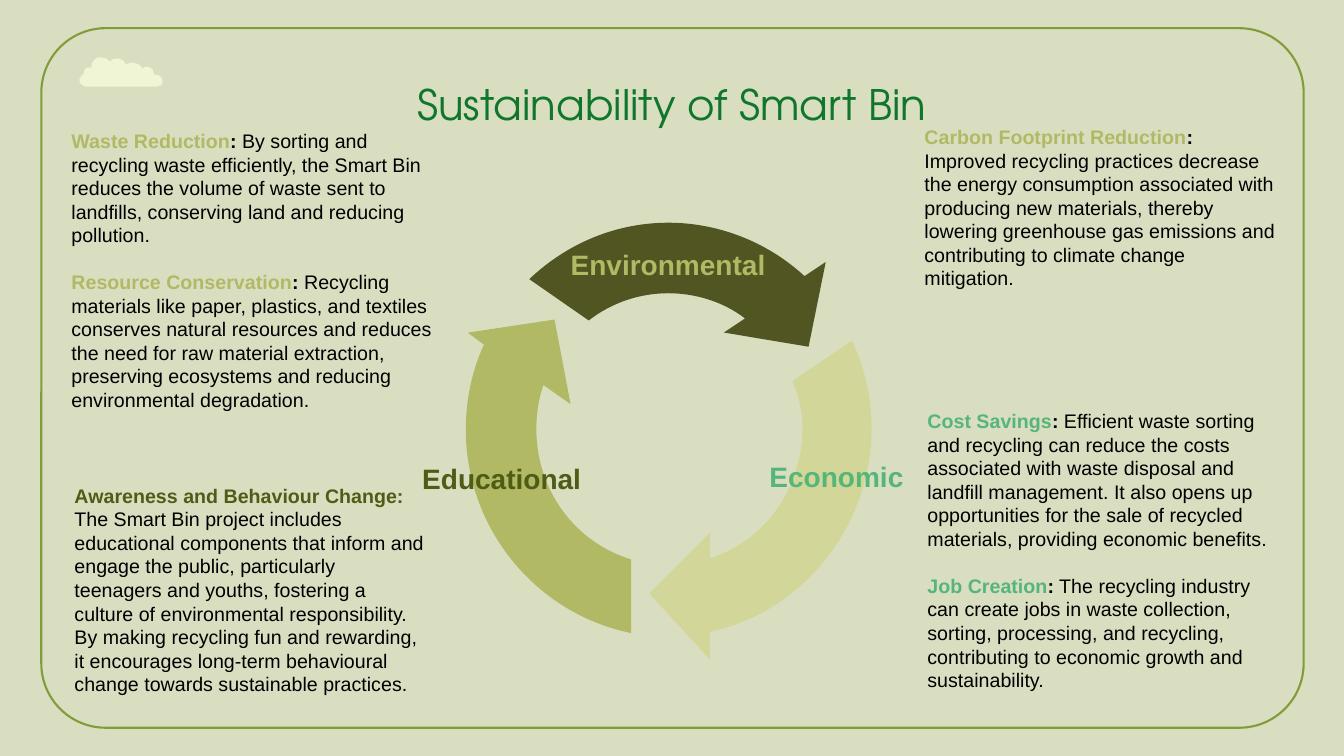
from collections import namedtuple
from dataclasses import dataclass

from lxml import etree
from pptx import Presentation
from pptx import util as u
from pptx.dml.color import RGBColor
from pptx.enum import shapes, text
from pptx.oxml import ns

Box = namedtuple("Box", "left top width height")


@dataclass(frozen=True)
class Theme:
    background: str = "D9DEC1"
    frame: str = "819C38"
    cloud: str = "EFF5D5"
    title: str = "10762C"
    body: str = "000000"
    environmental: str = "B1B965"
    educational: str = "4F5C16"
    economic: str = "56B579"
    top_arrow: str = "505521"
    right_arrow: str = "D2D799"
    left_arrow: str = "B1B965"
    title_font: str = "TeX Gyre Adventor"
    body_font: str = "Arial"
    title_size: float = 30
    label_size: float = 20
    body_size: float = 14
    body_pitch: float = 16.8


THEME = Theme()

# Outlines in inches from their region's corner: pairs are straight ends,
# sextets are two control points and the end of a curve.
CLOUD = [
    (.22, 0), (.24, 0, .26, 0, .27, .01), (.29, .02, .30, .03, .31, .04),
    (.32, .02, .35, .01, .39, .01), (.44, .02, .46, .04, .47, .07),
    (.49, .06, .51, .05, .54, .05), (.59, .06, .62, .08, .63, .11),
    (.64, .10, .66, .09, .68, .09), (.69, .09, .70, .10, .71, .10),
    (.73, .11, .74, .12, .74, .14), (.75, .15, .75, .16, .75, .17),
    (.77, .17, .79, .17, .80, .18), (.83, .20, .84, .23, .83, .26),
    (.83, .27, .82, .28, .80, .28), (.79, .29, .77, .29, .75, .29),
    (.07, .29), (.05, .29, .03, .27, .01, .25), (0, .23, .01, .20, .03, .18),
    (.03, .17, .04, .17, .05, .17), (.05, .14, .05, .12, .07, .11),
    (.08, .10, .10, .10, .13, .10), (.13, .09, .13, .07, .13, .06),
    (.14, .04, .16, .01, .19, 0), (.20, 0, .21, 0, .22, 0),
]
RIGHT_ARROW = [
    (2.42, 4.33), (2.42, 4.06), (3.69, 3.78, 4.39, 2.36, 3.83, 1.17),
    (3.24, 1.57), (3.31, 1.73, 3.34, 1.89, 3.34, 2.05),
    (3.33, 2.65, 2.96, 3.16, 2.42, 3.33), (2.42, 3.08), (1.82, 3.68),
]
LEFT_ARROW = [
    (1.64, 4.07), (1.64, 3.34), (1.08, 3.17, .70, 2.65, .70, 2.05),
    (.70, 1.90, .72, 1.75, .77, 1.61), (1.04, 1.80), (.88, .96), (.02, 1.09),
    (.18, 1.21), (.06, 1.47, 0, 1.76, 0, 2.05), (0, 3.04, .70, 3.88, 1.64, 4.07),
]
TOP_ARROW = [
    (3.40, 1.23), (3.57, .39), (3.36, .53), (2.98, .18, 2.49, 0, 2.01, 0),
    (1.51, 0, 1.02, .19, .63, .56), (1.22, .97),
    (1.45, .79, 1.73, .70, 2.01, .70), (2.27, .70, 2.55, .78, 2.77, .95),
    (2.56, 1.09),
]


def color(value):
    return RGBColor.from_string(value)


def inches(box):
    return [u.Inches(length) for length in box]


def add_text(page, box, paragraphs, size, font=THEME.body_font, align=None,
             pitch=None, inset=0.05):
    """Each paragraph is a list of (words, colour, bold) spans."""
    frame = page.shapes.add_textbox(*inches(box)).text_frame
    frame.word_wrap = True
    frame.margin_top = frame.margin_bottom = u.Inches(inset)
    for index, spans in enumerate(paragraphs):
        para = frame.add_paragraph() if index else frame.paragraphs[0]
        para.alignment = align
        if pitch:
            para.line_spacing = u.Pt(pitch)
        if index:
            para.space_before = u.Pt(pitch or size)
        for words, ink, bold in spans:
            span = para.add_run()
            span.text = words
            span.font.name, span.font.size = font, u.Pt(size)
            span.font.bold, span.font.color.rgb = bold, color(ink)


def bend(shape, outline):
    """Join each curve's three straight steps into one cubic curve."""
    steps = iter(list(shape.element.iter(ns.qn("a:lnTo"))))
    for segment in outline[1:]:
        first = next(steps)
        if len(segment) == 2:
            continue
        curve = etree.Element(ns.qn("a:cubicBezTo"))
        first.addprevious(curve)
        for step in (first, next(steps), next(steps)):
            curve.append(step[0])
            step.getparent().remove(step)


def add_outline(parent, box, outline, fill):
    units = 1000  # per inch
    points = [((box.left + x) * units, (box.top + y) * units)
              for segment in outline for x, y in zip(segment[::2], segment[1::2])]
    builder = parent.build_freeform(*points[0], scale=u.Inches(1) / units)
    builder.add_line_segments(points[1:], close=True)
    shape = builder.convert_to_shape()
    bend(shape, outline)
    shape.shadow.inherit = False
    shape.fill.solid()
    shape.fill.fore_color.rgb = color(fill)
    shape.line.fill.background()


def add_backdrop(page, box):
    page.background.fill.solid()
    page.background.fill.fore_color.rgb = color(THEME.background)
    # Rounded frame
    frame = page.shapes.add_shape(shapes.MSO_SHAPE.ROUNDED_RECTANGLE, *inches(box))
    frame.adjustments[0] = 0.092
    frame.shadow.inherit = False
    frame.fill.background()
    frame.line.color.rgb = color(THEME.frame)
    frame.line.width = u.Pt(1.5)
    # Cloud in the corner
    add_outline(page.shapes, Box(box.left + 0.37, box.top + 0.29, 0.84, 0.29),
                CLOUD, THEME.cloud)


def add_title(page, box):
    add_text(page, box, [[("Sustainability of Smart Bin", THEME.title, False)]],
             THEME.title_size, font=THEME.title_font,
             align=text.PP_ALIGN.CENTER, inset=0.1)


def add_cycle(page, box):
    # Three arrows
    ring = page.shapes.add_group_shape()
    for outline, fill in ((RIGHT_ARROW, THEME.right_arrow),
                          (LEFT_ARROW, THEME.left_arrow),
                          (TOP_ARROW, THEME.top_arrow)):
        add_outline(ring.shapes, box, outline, fill)
    # Labels on the arrows
    for words, ink, x, y in (("Environmental ", THEME.environmental, 0.71, 0.2),
                             ("Educational ", THEME.educational, -0.94, 2.32),
                             ("Economic ", THEME.economic, 2.38, 2.3)):
        add_text(page, Box(box.left + x, box.top + y, 2.67, 0.44),
                 [[(words, ink, True)]], THEME.label_size, align=text.PP_ALIGN.CENTER)


def add_benefits(page, box, ink, benefits):
    """Headings that end in a colon keep it in their own colour."""
    paragraphs = []
    for heading, detail in benefits:
        if heading.endswith(": "):
            spans = [(heading, ink, True), (detail, THEME.body, False)]
        else:
            spans = [(heading, ink, True), (":", THEME.body, True),
                     (" " + detail, THEME.body, False)]
        paragraphs.append(spans)
    add_text(page, box, paragraphs, THEME.body_size, pitch=THEME.body_pitch)


def build_sustainability(page):
    add_backdrop(page, Box(0.41, 0.28, 12.52, 6.94))
    add_title(page, Box(1.04, 0.68, 11.25, 0.84))
    add_cycle(page, Box(4.62, 2.21, 4.39, 4.33))
    add_benefits(page, Box(9.1, 4.01, 3.71, 2.93), THEME.economic, [
        ("Cost Savings", "Efficient waste sorting and recycling can reduce the costs associated with waste disposal and landfill management. It also opens up opportunities for the sale of recycled materials, providing economic benefits."),
        ("Job Creation", "The recycling industry can create jobs in waste collection, sorting, processing, and recycling, contributing to economic growth and sustainability."),
    ])
    add_benefits(page, Box(0.64, 4.75, 3.68, 2.22), THEME.educational, [
        ("Awareness and Behaviour Change: ", "The Smart Bin project includes educational components that inform and engage the public, particularly teenagers and youths, fostering a culture of environmental responsibility. By making recycling fun and rewarding, it encourages long-term behavioural change towards sustainable practices."),
    ])
    add_benefits(page, Box(0.61, 1.23, 3.88, 2.93), THEME.environmental, [
        ("Waste Reduction", "By sorting and recycling waste efficiently, the Smart Bin reduces the volume of waste sent to landfills, conserving land and reducing pollution."),
        ("Resource Conservation", "Recycling materials like paper, plastics, and textiles conserves natural resources and reduces the need for raw material extraction, preserving ecosystems and reducing environmental degradation."),
    ])
    add_benefits(page, Box(9.07, 1.19, 3.71, 1.75), THEME.environmental, [
        ("Carbon Footprint Reduction", "Improved recycling practices decrease the energy consumption associated with producing new materials, thereby lowering greenhouse gas emissions and contributing to climate change mitigation."),
    ])


def main():
    deck = Presentation()
    deck.slide_width, deck.slide_height = u.Inches(13.33), u.Inches(7.5)
    build_sustainability(deck.slides.add_slide(deck.slide_layouts[6]))
    deck.save("out.pptx")


if __name__ == "__main__":
    main()
